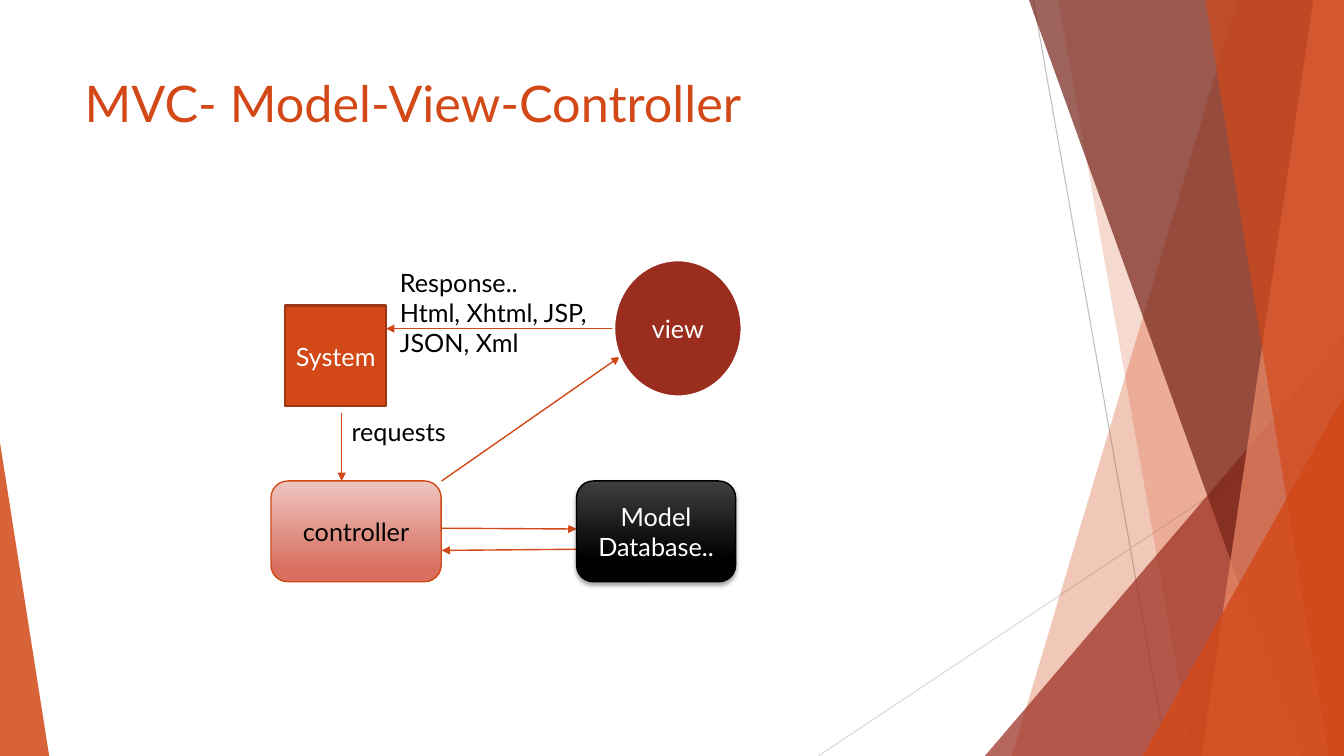
import pptx
import pptx.dml.color
import pptx.enum.dml
import pptx.enum.shapes
import pptx.enum.text
import pptx.oxml.ns
import pptx.util
from lxml import etree

Cm, Pt = pptx.util.Cm, pptx.util.Pt
RGB = pptx.dml.color.RGBColor
KIND = pptx.enum.shapes.MSO_SHAPE
ALIGN = pptx.enum.text.PP_ALIGN
ANCHOR = pptx.enum.text.MSO_ANCHOR
qn = pptx.oxml.ns.qn

ORANGE = RGB(0xD3, 0x48, 0x17)
DARK_ORANGE = RGB(0x9C, 0x35, 0x11)
PEACH = RGB(0xEF, 0x8C, 0x6A)
RED = RGB(0x9B, 0x2D, 0x1F)
DARK_RED = RGB(0x74, 0x22, 0x17)
PINK = RGB(0xED, 0xC5, 0xC0)
ROSE = RGB(0xD8, 0x6F, 0x5F)
CHARCOAL = RGB(0x3F, 0x3F, 0x3F)
GREY = RGB(0xBF, 0xBF, 0xBF)
PALE_GREY = RGB(0xD9, 0xD9, 0xD9)
BLACK = RGB(0, 0, 0)
WHITE = RGB(0xFF, 0xFF, 0xFF)

FONT = "Lato"
WIDTH, HEIGHT = 33.87, 19.05

# Content, lengths in cm
TITLE = "MVC- Model-View-Controller"

# from, to, colour
HAIRLINES = [
    ((26.04, 0), (29.41, HEIGHT), GREY),
    ((WIDTH, 10.24), (20.62, HEIGHT), PALE_GREY),
]
# Bands run to the right edge: ("band", x at top, x at bottom, colour, opacity)
# Wedges: ("wedge", (left, top, width), apex position, colour, opacity)
FACETS = [
    ("band", 31.19, 25.5, ORANGE, 30),
    ("band", 26.67, 30.05, ORANGE, 20),
    ("wedge", (24.82, 8.46, 9.05), 1, RED, 72),
    ("band", 25.93, 32.79, DARK_RED, 70),
    ("band", 33.1, 30.28, PEACH, 70),
    ("band", 30.38, 33.48, ORANGE, 65),
    ("wedge", (28.8, 9.98, 5.07), 1, ORANGE, 80),
    ("wedge", (0, 11.15, 1.24), 0, ORANGE, 85),
]
# lines, preset, place, fill (colour or gradient stops), line, line width, text
BOXES = [
    (["System"], KIND.RECTANGLE, (7.19, 7.7, 2.54, 2.54),
     ORANGE, DARK_ORANGE, 1.5, WHITE),
    (["controller"], KIND.ROUNDED_RECTANGLE, (6.83, 12.12, 4.29, 2.54),
     [(0, PINK), (0.88, ROSE)], ORANGE, 1, BLACK),
    (["Model", "Database.."], KIND.ROUNDED_RECTANGLE, (14.53, 12.12, 4.01, 2.54),
     [(0, CHARCOAL), (0.78, BLACK)], BLACK, 1, WHITE),
    (["view"], KIND.OVAL, (15.47, 6.55, 3.23, 3.45), RED, WHITE, 2, WHITE),
]
ARROWS = [
    ((8.61, 10.41), (8.61, 12.12)),    # System to controller
    ((11.13, 13.31), (14.53, 13.33)),  # controller to Model
    ((14.53, 13.84), (11.13, 13.87)),  # Model to controller
    ((11.13, 12.12), (15.62, 8.99)),   # controller to view
    ((15.47, 8.28), (9.73, 8.28)),     # view to System
]
# lines, place, wraps
LABELS = [
    (["requests"], (8.61, 10.36, 2.95, 1.02), False),
    (["Response..", "Html, Xhtml, JSP, JSON, Xml"], (9.83, 6.6, 5.82, 2.57), True),
]


def cm(values):
    return [Cm(value) for value in values]


def add_line(start, end, color, width):
    line = page.shapes.add_connector(
        pptx.enum.shapes.MSO_CONNECTOR.STRAIGHT, *cm(start + end))
    line.line.color.rgb = color
    line.line.width = Pt(width)
    etree.SubElement(line.element.spPr, qn("a:effectLst"))
    return line


def add_facet(kind, first, second, color, opacity):
    if kind == "band":
        builder = page.shapes.build_freeform(Cm(first), 0)
        corners = [(WIDTH, 0), (WIDTH, HEIGHT), (second, HEIGHT)]
        builder.add_line_segments([cm(corner) for corner in corners])
        facet = builder.convert_to_shape()
    else:
        facet = page.shapes.add_shape(
            KIND.ISOSCELES_TRIANGLE, *cm(first + (HEIGHT - first[1],)))
        facet.adjustments[0] = second
    facet.shadow.inherit = False
    facet.line.fill.background()
    facet.fill.solid()
    facet.fill.fore_color.rgb = color
    tint = facet.element.spPr.find(".//" + qn("a:srgbClr"))
    etree.SubElement(tint, qn("a:alpha"), val=str(opacity * 1000))


def write(frame, lines, color, size=18, align=ALIGN.LEFT):
    frame.text = "\n".join(lines)
    for para in frame.paragraphs:
        para.alignment = align
        para.font.name = FONT
        para.font.size = Pt(size)
        para.font.color.rgb = color


def add_box(lines, preset, place, fill, edge, edge_width, color):
    box = page.shapes.add_shape(preset, *cm(place))
    box.shadow.inherit = False
    if isinstance(fill, list):
        box.fill.gradient()
        box.fill.gradient_angle = 270
        for stop, (position, shade) in zip(box.fill.gradient_stops, fill):
            stop.position = position
            stop.color.rgb = shade
    else:
        box.fill.solid()
        box.fill.fore_color.rgb = fill
    box.line.color.rgb = edge
    box.line.width = Pt(edge_width)
    frame = box.text_frame
    frame.margin_left = frame.margin_right = 0
    frame.vertical_anchor = ANCHOR.MIDDLE
    write(frame, lines, color, align=ALIGN.CENTER)
    return box


def add_shadow(box):
    effects = box.element.spPr.find(qn("a:effectLst"))
    shadow = etree.SubElement(
        effects, qn("a:outerShdw"), blurRad=str(Pt(3)), dist=str(Pt(2)),
        dir="5400000", rotWithShape="0")
    shade = etree.SubElement(shadow, qn("a:srgbClr"), val=str(BLACK))
    etree.SubElement(shade, qn("a:alpha"), val="35000")


deck = pptx.Presentation()
deck.slide_width, deck.slide_height = Cm(WIDTH), Cm(HEIGHT)
page = deck.slides.add_slide(deck.slide_layouts.get_by_name("Title Only"))

# Faceted background
for start, end, color in HAIRLINES:
    add_line(start, end, color, 0.75)
for facet in FACETS:
    add_facet(*facet)

# Title
title = page.shapes.title
title.left, title.top, title.width, title.height = cm((1.88, 1.7, 23.88, 3.66))
title.text_frame.vertical_anchor = ANCHOR.TOP
write(title.text_frame, [TITLE], ORANGE, size=36)

# Diagram arrows
for start, end in ARROWS:
    arrow = add_line(start, end, ORANGE, 1)
    etree.SubElement(arrow.line._get_or_add_ln(), qn("a:tailEnd"), type="triangle")

# Diagram boxes
for content in BOXES:
    box = add_box(*content)
    if content[0][0] == "Model":
        add_shadow(box)

# Arrow labels
for lines, place, wraps in LABELS:
    label = page.shapes.add_textbox(*cm(place))
    label.text_frame.word_wrap = wraps
    write(label.text_frame, lines, BLACK)

deck.save("out.pptx")
